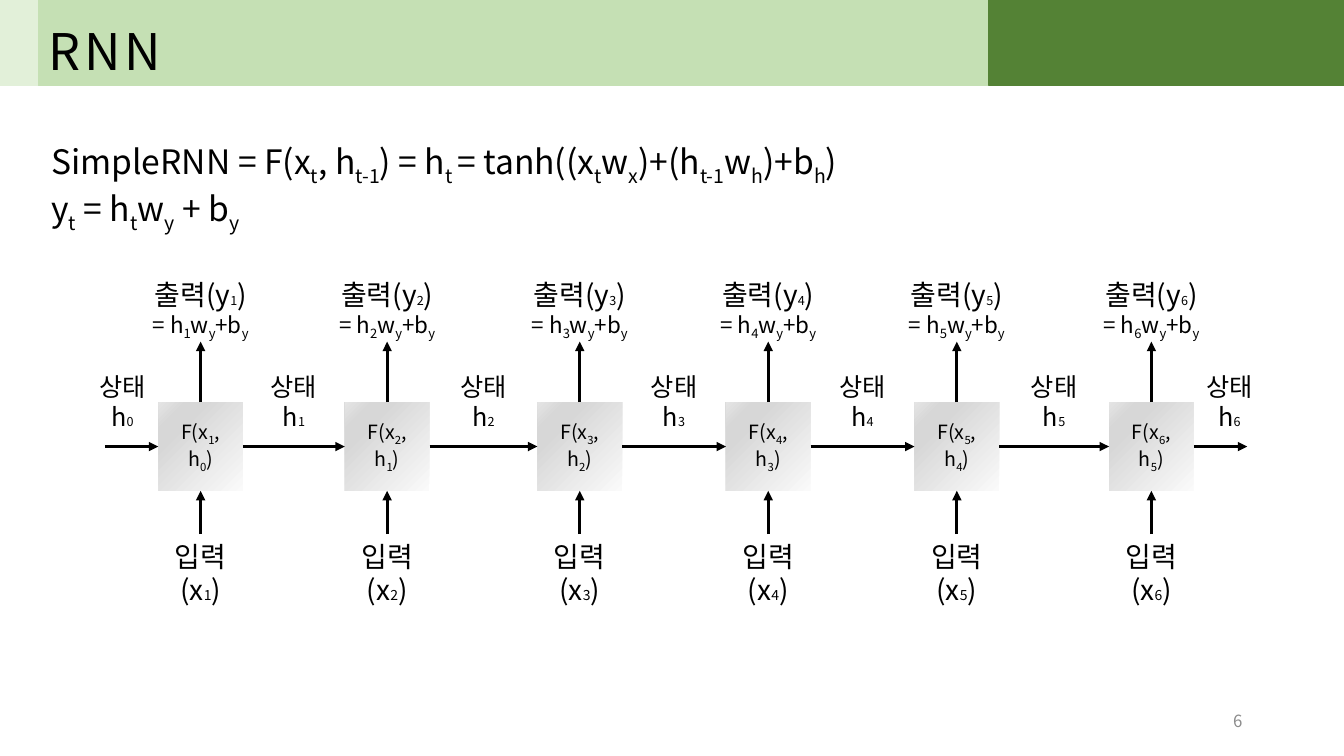
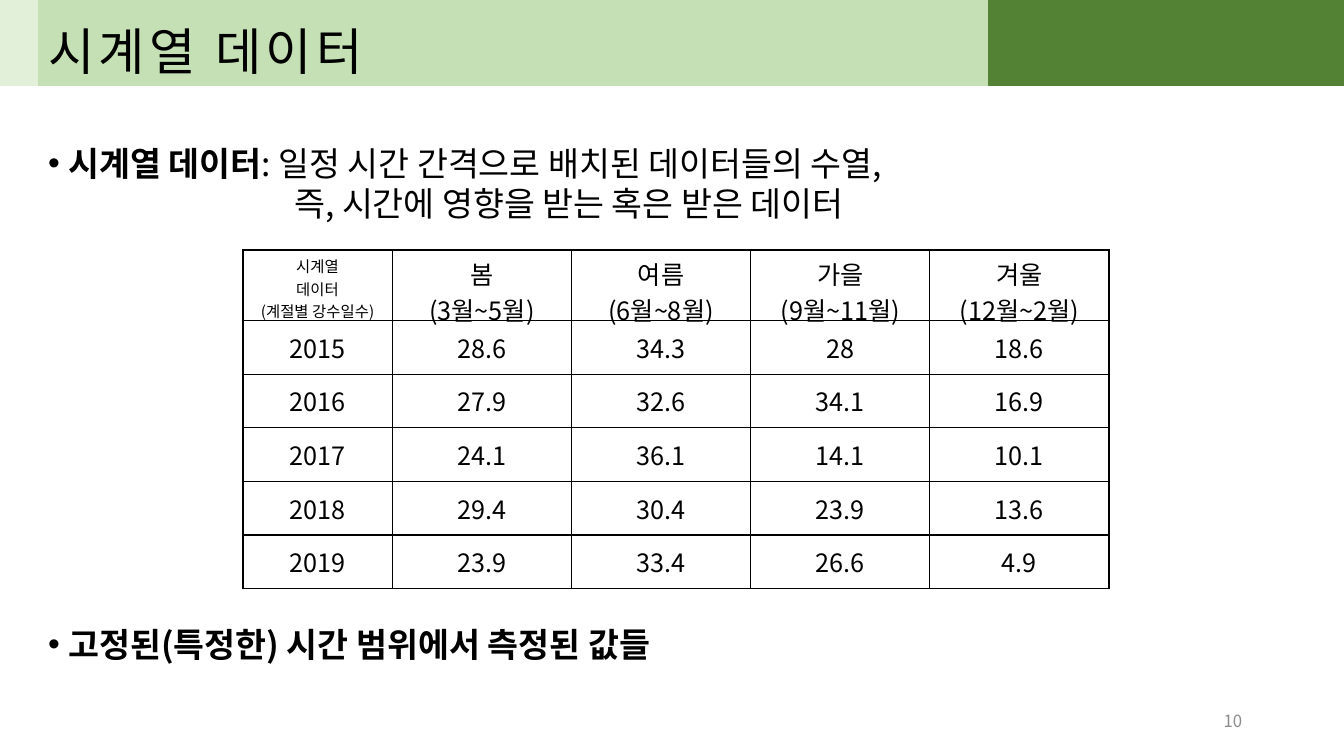
from dataclasses import dataclass

from lxml.etree import SubElement
from pptx import Presentation
from pptx.dml.color import RGBColor
from pptx.enum.shapes import MSO_CONNECTOR, MSO_SHAPE
from pptx.enum.text import MSO_ANCHOR, PP_ALIGN
from pptx.oxml.ns import qn
from pptx.util import Inches, Pt


@dataclass(frozen=True)
class Theme:
    font: str = "Noto Sans CJK KR"
    ink: str = "000000"
    muted: str = "8C8C8C"
    pale: str = "E2F0D9"
    light: str = "C5E0B4"
    dark: str = "548235"
    cell_stops: tuple = ((0, "FAFAFA"), (74, "D7D7D7"), (83, "D7D7D7"), (100, "E4E4E4"))
    title: int = 36
    body: int = 24
    label: int = 20
    state: int = 18
    equation: int = 16
    cell: int = 14
    number: int = 12
    note: int = 11
    index: int = 9
    arrow: float = 2.25


class Deck:
    def __init__(self, theme):
        self.theme = theme
        self.prs = Presentation()
        self.prs.slide_width, self.prs.slide_height = Inches(13.33), Inches(7.5)
        self.s = None

    # Shared slide frame: page number, three bands and title
    def new_slide(self, title, number):
        t = self.theme
        self.s = self.prs.slides.add_slide(self.prs.slide_layouts[6])
        tf = self.text(9.42, 6.95, 3, 0.4)
        tf.vertical_anchor = MSO_ANCHOR.MIDDLE
        self.run(self.para(tf, PP_ALIGN.RIGHT), str(number), t.number, color=t.muted)
        self.band(0, 0.38, t.pale)
        tf = self.band(0.38, 9.44, t.light).text_frame
        self.band(9.81, 3.52, t.dark)
        tf.vertical_anchor = MSO_ANCHOR.BOTTOM
        r = self.run(self.para(tf), title, t.title, kern=False)
        r.font._element.set("spc", "300")

    def box(self, x, y, w, h):
        sp = self.s.shapes.add_shape(MSO_SHAPE.RECTANGLE, Inches(x), Inches(y), Inches(w), Inches(h))
        sp.shadow.inherit = False
        return sp

    def band(self, x, w, color):
        sp = self.box(x, 0, w, 0.85)
        sp.fill.solid()
        sp.fill.fore_color.rgb = sp.line.color.rgb = RGBColor.from_string(color)
        sp.line.width = Pt(1)
        return sp

    # Text: frames, paragraphs and runs
    def text(self, x, y, w, h):
        tf = self.s.shapes.add_textbox(Inches(x), Inches(y), Inches(w), Inches(h)).text_frame
        tf.word_wrap = True
        return tf

    def para(self, tf, align=PP_ALIGN.LEFT):
        p = tf.paragraphs[0]
        if p.runs:
            p = tf.add_paragraph()
        p.alignment = align
        return p

    def run(self, p, text, size, bold=False, color=None, kern=True):
        r = p.add_run()
        r.text = text
        r.font.size, r.font.bold, r.font.name = Pt(size), bold, self.theme.font
        r.font.color.rgb = RGBColor.from_string(color or self.theme.ink)
        SubElement(r.font._element, qn("a:ea"), typeface=self.theme.font)
        if not kern:
            r.font._element.set("kern", "0")
        return r

    def indexed(self, p, text, size, index_size=None):
        """Every second part between bars is a subscript, or small text if index_size is given."""
        for i, part in enumerate(text.split("|")):
            if not part:
                continue
            is_index = i % 2 == 1
            r = self.run(p, part, index_size if is_index and index_size else size)
            if is_index and not index_size:
                r.font._element.set("baseline", "-25000")

    def formula(self, y, text, w):
        self.indexed(self.para(self.text(0.41, y, w, 0.5)), text, self.theme.body)

    def label(self, center, y, w, h, lines):
        """Each line is (text, size, index size)."""
        tf = self.text(center - w / 2, y, w, h)
        for line in lines:
            self.indexed(self.para(tf, PP_ALIGN.CENTER), *line)

    def indent(self, p, left, bullet=False):
        pPr = p._p.get_or_add_pPr()
        pPr.set("marL", str(Inches(left)))
        if bullet:
            pPr.set("indent", str(-Inches(left)))
            SubElement(pPr, qn("a:buFont"), typeface="Arial")
            SubElement(pPr, qn("a:buChar"), char="•")

    def bullet(self, y, w, h, bold, plain="", second="", second_left=0):
        size = self.theme.body
        tf = self.text(0.38, y, w, h)
        p = self.para(tf)
        self.indent(p, 0.2, bullet=True)
        self.run(p, bold, size, bold=True, kern=False)
        if plain:
            self.run(p, plain, size, kern=False)
        if second:
            p = self.para(tf)
            self.indent(p, second_left)
            self.run(p, second, size, kern=False)

    # Diagram parts
    def rnn_cell(self, x, y, w, h, text):
        sp = self.box(x, y, w, h)
        sp.line.fill.background()
        sp.fill.gradient()
        sp.fill.gradient_angle = 135
        stops = sp._element.spPr.find(qn("a:gradFill")).find(qn("a:gsLst"))
        for old in list(stops):
            stops.remove(old)
        for pos, color in self.theme.cell_stops:
            stop = SubElement(stops, qn("a:gs"), pos=str(pos * 1000))
            SubElement(stop, qn("a:srgbClr"), val=color)
        tf = sp.text_frame
        tf.word_wrap = True
        tf.vertical_anchor = MSO_ANCHOR.MIDDLE
        self.indexed(self.para(tf, PP_ALIGN.CENTER), text, self.theme.cell)

    def arrow(self, x1, y1, x2, y2):
        c = self.s.shapes.add_connector(MSO_CONNECTOR.STRAIGHT, Inches(x1), Inches(y1), Inches(x2), Inches(y2))
        c.line.color.rgb = RGBColor.from_string(self.theme.ink)
        c.line.width = Pt(self.theme.arrow)
        SubElement(c.line._get_or_add_ln(), qn("a:tailEnd"), type="triangle")
        SubElement(c._element.spPr, qn("a:effectLst"))

    # Table with thin borders and no fill
    def table(self, x, y, col_w, row_h, rows, size, height=None):
        cols = len(rows[0])
        frame = self.s.shapes.add_table(len(rows), cols, Inches(x), Inches(y),
                                        Inches(col_w * cols), Inches(row_h * len(rows)))
        tbl = frame.table
        tbl.first_row = tbl.horz_banding = False
        for col in tbl.columns:
            col.width = Inches(col_w)
        for i, row in enumerate(rows):
            tbl.rows[i].height = Inches(row_h)
            for j, value in enumerate(row):
                cell = tbl.cell(i, j)
                self.borders(cell)
                cell.fill.background()
                cell.vertical_anchor = MSO_ANCHOR.MIDDLE
                for line in value.split("\n"):
                    self.run(self.para(cell.text_frame, PP_ALIGN.CENTER), line, size)
        if height:
            frame.height = Inches(height)

    def borders(self, cell):
        tcPr = cell._tc.get_or_add_tcPr()
        for side in ("a:lnL", "a:lnR", "a:lnT", "a:lnB"):
            ln = SubElement(tcPr, qn(side), w=str(Pt(1)))
            fill = SubElement(ln, qn("a:solidFill"))
            SubElement(fill, qn("a:srgbClr"), val=self.theme.ink)


def rnn_slide(deck):
    t = deck.theme
    deck.new_slide("RNN", 6)
    deck.formula(1.35, "SimpleRNN = F(x|t|, h|t-1|) = h|t |= tanh((x|t|w|x|)+(h|t-1|w|h|)+b|h|)", 8.68)
    deck.formula(1.82, "y|t| = h|t|w|y| + b|y|", 2.38)

    # Unrolled cells with their input and output
    lefts = [1.57, 3.42, 5.33, 7.2, 9.07, 11]
    top, w, h = 3.99, 0.84, 0.88
    for n, x in enumerate(lefts, 1):
        center = x + w / 2
        deck.rnn_cell(x, top, w, h, f"F(x|{n}|, h|{n - 1}|)")
        deck.arrow(center, top, center, 3.39)
        deck.arrow(center, 5.3, center, top + h)
        deck.label(center, 2.7, 1.64, 0.71, [(f"출력(y|{n}|)", t.label, t.index),
                                             (f"= h|{n}|w|y|+b|y|", t.equation)])
        deck.label(center, 5.3, 1.1, 0.77, [(f"입력(x|{n}|)", t.label, t.index + 1)])

    # States passed from cell to cell
    label_w, tip = 0.71, 0.53
    rights = [x + w for x in lefts]
    starts = [lefts[0] - label_w] + rights
    ends = lefts + [rights[-1] + label_w]
    for n, (start, end) in enumerate(zip(starts, ends)):
        deck.label((start + end) / 2, 3.63, label_w, 0.71,
                   [("상태", t.state), (f"h|{n}|", t.state, t.index)])
        tail = end - tip if n == 0 else start
        head = start + tip if n == len(lefts) else end
        deck.arrow(tail, top + h / 2, head, top + h / 2)


def time_series_slide(deck):
    t = deck.theme
    deck.new_slide("시계열 데이터", 10)
    deck.bullet(1.37, 9.46, 0.91, "시계열 데이터", ": 일정 시간 간격으로 배치된 데이터들의 수열,",
                "즉, 시간에 영향을 받는 혹은 받은 데이터", 2.44)

    # Rainy days per season: values, seasons, years and corner
    seasons = ["봄\n(3월~5월)", "여름\n(6월~8월)", "가을\n(9월~11월)", "겨울\n(12월~2월)"]
    rainy_days = {
        "2015": ["28.6", "34.3", "28", "18.6"],
        "2016": ["27.9", "32.6", "34.1", "16.9"],
        "2017": ["24.1", "36.1", "14.1", "10.1"],
        "2018": ["29.4", "30.4", "23.9", "13.6"],
        "2019": ["23.9", "33.4", "26.6", "4.9"],
    }
    left, top, year_w, head_h = 2.41, 2.48, 1.48, 0.7
    season_w, row_h = 7.11 / len(seasons), 2.66 / len(rainy_days)
    body_x, body_y = left + year_w, top + head_h
    deck.table(body_x, body_y, season_w, row_h, list(rainy_days.values()), t.state)
    deck.table(body_x, top, season_w, row_h, [seasons], t.state, height=head_h)
    deck.table(left, body_y, year_w, row_h, [[year] for year in rainy_days], t.state)
    deck.table(left, top, year_w, head_h, [["시계열\n데이터\n(계절별 강수일수)"]], t.note)

    deck.bullet(6.14, 6.84, 0.5, "고정된(특정한) 시간 범위에서 측정된 값들")


def main():
    deck = Deck(Theme())
    rnn_slide(deck)
    time_series_slide(deck)
    deck.prs.save("out.pptx")


if __name__ == "__main__":
    main()
